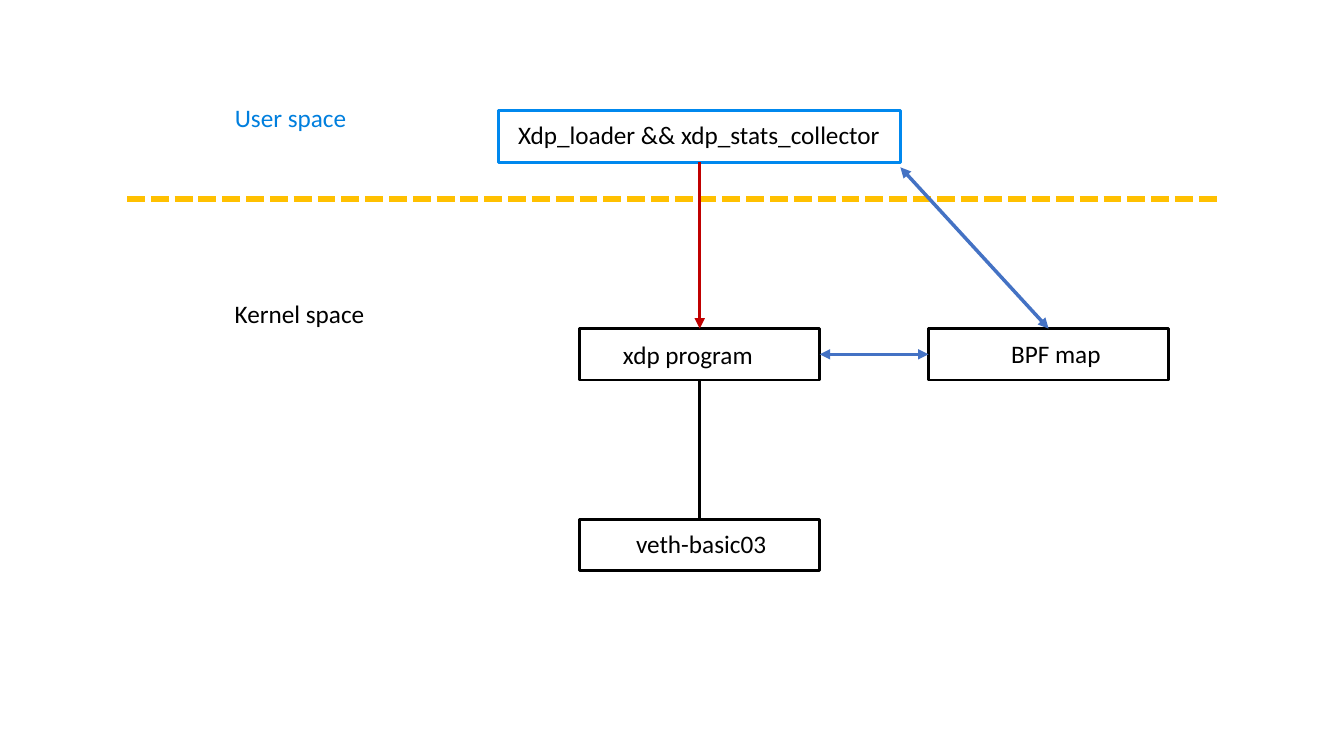
"""Build the slide showing how an XDP loader, program and BPF map span user and kernel space."""
from dataclasses import dataclass

from lxml.etree import SubElement
from pptx import Presentation
from pptx.dml.color import RGBColor
from pptx.enum.dml import MSO_LINE
from pptx.enum.shapes import MSO_CONNECTOR, MSO_SHAPE
from pptx.enum.text import MSO_AUTO_SIZE
from pptx.oxml.ns import qn
from pptx.util import Inches, Pt


@dataclass(frozen=True)
class Theme:
    font: str = "Calibri"
    size: float = 18
    black: str = "000000"
    user: str = "007FDE"
    loader: str = "0088EE"
    border: str = "FFC000"
    load: str = "C00000"
    data: str = "4472C4"
    box_line: float = 2
    arrow_line: float = 2.5
    border_line: float = 4.25


T = Theme()
AXIS, BOX_H, LABEL_H = 6.94, 0.51, 0.4
MAP_AXIS, KERNEL_TOP = 10.4, 3.26
TOP, LEFT, BOTTOM, RIGHT = range(4)

SPACES = [
    ("User space", 2.23, 0.97, 2.52, T.user),
    ("Kernel space", 2.23, 2.91, 2.13, T.black),
]
BOXES = {
    "loader": (AXIS, 1.1, 3.99, T.loader),
    "program": (AXIS, KERNEL_TOP, 2.38, T.black),
    "veth": (AXIS, 5.15, 2.38, T.black),
    "map": (MAP_AXIS, KERNEL_TOP, 2.38, T.black),
}
LABELS = [
    ("Xdp_loader && xdp_stats_collector", 5.04, 1.13, 3.89),
    ("xdp program", 6.08, 3.32, 1.71),
    ("veth-basic03", 6.21, 5.19, 1.91),
    ("BPF map", 9.93, 3.31, 1.91),
]
LINKS = [
    ("program", BOTTOM, "veth", TOP, T.black, T.box_line, ()),
    ("loader", BOTTOM, "program", TOP, T.load, T.arrow_line, ("tailEnd",)),
    ("program", RIGHT, "map", LEFT, T.data, T.arrow_line, ("headEnd", "tailEnd")),
]


def add_text(s, text, *, left, top, width, color=T.black, size=T.size):
    tb = s.shapes.add_textbox(*map(Inches, (left, top, width, LABEL_H)))
    tf = tb.text_frame
    tf.word_wrap = True
    tf.auto_size = MSO_AUTO_SIZE.SHAPE_TO_FIT_TEXT
    r = tf.paragraphs[0].add_run()
    r.text = text
    r.font.name, r.font.size = T.font, Pt(size)
    r.font.color.rgb = RGBColor.from_string(color)


def add_box(s, center, top, width, color):
    sp = s.shapes.add_shape(
        MSO_SHAPE.RECTANGLE, *map(Inches, (center - width / 2, top, width, BOX_H)))
    sp.shadow.inherit = False
    sp.fill.background()
    sp.line.color.rgb = RGBColor.from_string(color)
    sp.line.width = Pt(T.box_line)
    return sp


def add_line(s, start, end, *, color, width, arrows=(), dash=None):
    cx = s.shapes.add_connector(MSO_CONNECTOR.STRAIGHT, *map(Inches, (*start, *end)))
    cx.line.color.rgb = RGBColor.from_string(color)
    cx.line.width = Pt(width)
    if dash:
        cx.line.dash_style = dash
    ln = cx.line._get_or_add_ln()
    for arrow in arrows:
        SubElement(ln, qn(f"a:{arrow}"), type="triangle")
    SubElement(cx._element.spPr, qn("a:effectLst"))
    return cx


def main():
    prs = Presentation()
    prs.slide_width, prs.slide_height = Inches(13.33), Inches(7.5)
    s = prs.slides.add_slide(prs.slide_layouts[6])

    add_line(s, (1.26, 1.97), (12.07, 1.97), color=T.border,
             width=T.border_line, dash=MSO_LINE.SQUARE_DOT)
    for text, left, top, width, color in SPACES:
        add_text(s, text, left=left, top=top, width=width, color=color)
    boxes = {name: add_box(s, *box) for name, box in BOXES.items()}
    for text, left, top, width in LABELS:
        add_text(s, text, left=left, top=top, width=width)

    for source, out, target, into, color, width, arrows in LINKS:
        cx = add_line(s, (0, 0), (0, 0), color=color, width=width, arrows=arrows)
        cx.begin_connect(boxes[source], out)
        cx.end_connect(boxes[target], into)
    cx = add_line(s, (8.93, 1.66), (MAP_AXIS, KERNEL_TOP), color=T.data,
                  width=T.arrow_line, arrows=("headEnd", "tailEnd"))
    cx.end_connect(boxes["map"], TOP)

    prs.save("out.pptx")


if __name__ == "__main__":
    main()
